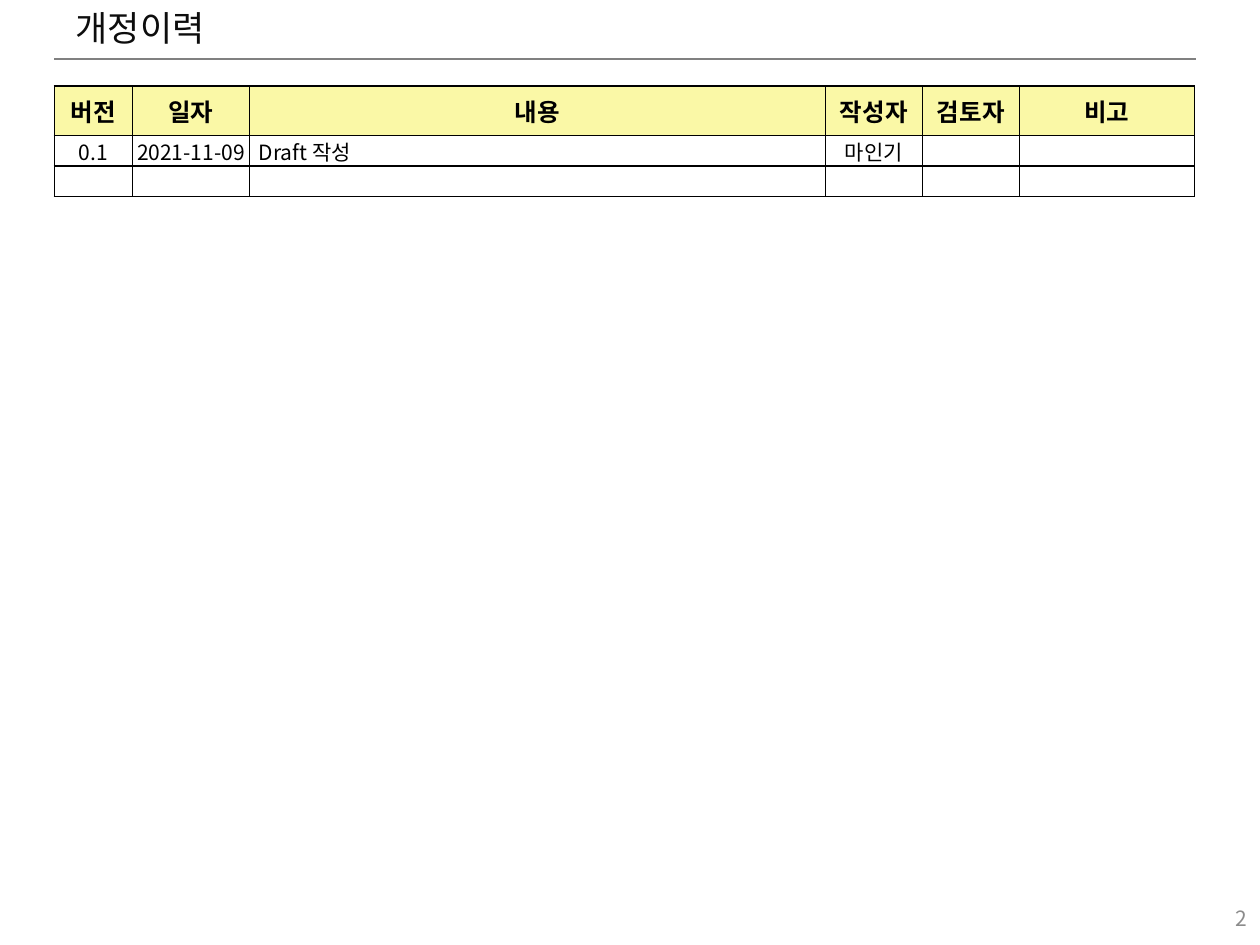
from lxml.etree import SubElement
from pptx import Presentation
from pptx.dml.color import RGBColor as RGB
from pptx.enum.shapes import MSO_CONNECTOR as LINK
from pptx.enum.text import MSO_ANCHOR as ANCHOR, MSO_AUTO_SIZE as AUTO, PP_ALIGN as ALIGN
from pptx.oxml.ns import qn
from pptx.util import Pt

FONT = "Noto Sans CJK KR"
HUES = {"title": "0D0D0D", "rule": "808080", "page": "8C8C8C",
        "text": "000000", "head": "FAF8A6", "edge": "000000"}
WIDTHS = [44.64, 66.96, 329.04, 55.44, 55.44, 100.08]
HEIGHTS = [28.5, 17.4, 17.4]
ROWS = [
    ["버전", "일자", "내용", "작성자", "검토자", "비고"],
    ["0.1", "2021-11-09", "Draft 작성", "마인기", "", ""],
    [""] * 6,
]


def apply(item, **values):
    """Set each named value on the item."""
    for name, value in values.items():
        setattr(item, name, value)


def write(frame, text, size, hue, align, bold=False):
    """Put one styled paragraph into a text frame."""
    para = frame.paragraphs[0]
    para.alignment = align
    if not text:
        SubElement(para._p, qn("a:endParaRPr"), sz=str(size * 100))
        return
    run = para.add_run()
    run.text = text
    apply(run.font, size=Pt(size), name=FONT, bold=bold)
    run.font.color.rgb = RGB.from_string(HUES[hue])
    SubElement(run._r.get_or_add_rPr(), qn("a:ea"), typeface=FONT)


def border(cell):
    """Draw the four edges of a table cell."""
    props = cell._tc.get_or_add_tcPr()
    for spot, side in enumerate(("lnL", "lnR", "lnT", "lnB")):
        line = props.makeelement(qn(f"a:{side}"), {"w": str(Pt(1))})
        fill = SubElement(line, qn("a:solidFill"))
        SubElement(fill, qn("a:srgbClr"), val=HUES["edge"])
        props.insert(spot, line)


def add_head(slide, left, top, width, height):
    """Place the title and the rule below it."""
    title = slide.shapes.title
    apply(title, left=Pt(left + 5), top=Pt(top), width=Pt(648), height=Pt(22.3))
    apply(title.text_frame, vertical_anchor=ANCHOR.TOP, auto_size=AUTO.NONE,
          margin_top=0, margin_bottom=0)
    write(title.text_frame, "개정이력", 20, "title", ALIGN.LEFT)
    base = Pt(top + height)
    rule = slide.shapes.add_connector(LINK.STRAIGHT, Pt(left), base, Pt(left + width), base)
    rule.line.width = Pt(1.25)
    rule.line.color.rgb = RGB.from_string(HUES["rule"])
    SubElement(rule._element.spPr, qn("a:effectLst"))


def add_log(slide, left, top):
    """Place the revision table."""
    frame = slide.shapes.add_table(len(ROWS), len(WIDTHS), Pt(left), Pt(top),
                                   Pt(sum(WIDTHS)), Pt(sum(HEIGHTS)))
    table = frame.table
    for col, width in zip(table.columns, WIDTHS):
        col.width = Pt(width)
    for r, (row, height) in enumerate(zip(ROWS, HEIGHTS)):
        table.rows[r].height = Pt(height)
        for c, text in enumerate(row):
            cell, head = table.cell(r, c), r == 0
            note = c == 2 and not head
            apply(cell, vertical_anchor=ANCHOR.MIDDLE, margin_left=Pt(5.4 if note else 0),
                  margin_right=0, margin_top=0, margin_bottom=0)
            if head:
                cell.fill.solid()
                cell.fill.fore_color.rgb = RGB.from_string(HUES["head"])
            else:
                cell.fill.background()
            write(cell.text_frame, text, 14 if head else 12, "text",
                  ALIGN.LEFT if note else ALIGN.CENTER, head)
            border(cell)


def add_page(slide, left, top, width, height):
    """Place the page number."""
    box = slide.shapes.add_textbox(Pt(left), Pt(top), Pt(width), Pt(height))
    apply(box.text_frame, word_wrap=True, vertical_anchor=ANCHOR.MIDDLE)
    write(box.text_frame, "2", 12, "page", ALIGN.RIGHT)


def main():
    """Build and save the slide."""
    deck = Presentation()
    apply(deck, slide_width=Pt(720), slide_height=Pt(540))
    slide = deck.slides.add_slide(deck.slide_layouts[5])
    add_head(slide, 31, 3.6, 652.3, 30.2)
    add_log(slide, 31, 49)
    add_page(slide, 552.2, 510.5, 167.8, 28.8)
    deck.save("out.pptx")


if __name__ == "__main__":
    main()
